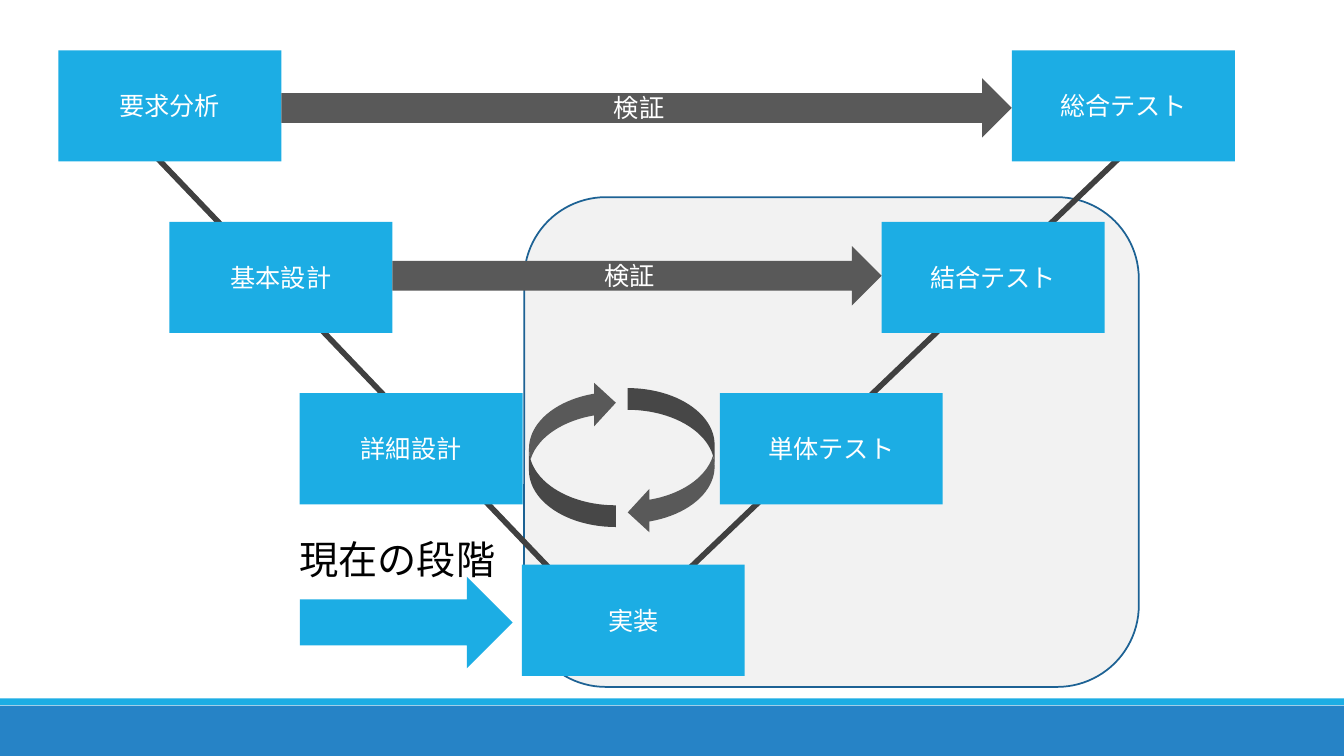
from lxml import etree
from pptx import Presentation
from pptx.dml.color import RGBColor
from pptx.enum.shapes import MSO_CONNECTOR, MSO_SHAPE
from pptx.enum.text import MSO_ANCHOR, PP_ALIGN
from pptx.oxml.ns import qn
from pptx.util import Cm, Pt

RECT, ROUNDED = MSO_SHAPE.RECTANGLE, MSO_SHAPE.ROUNDED_RECTANGLE
RIGHT_ARROW, CURVED_ARROW = MSO_SHAPE.RIGHT_ARROW, MSO_SHAPE.CURVED_LEFT_ARROW
STRAIGHT = MSO_CONNECTOR.STRAIGHT
LEFT, CENTER = PP_ALIGN.LEFT, PP_ALIGN.CENTER
TOP, MIDDLE = MSO_ANCHOR.TOP, MSO_ANCHOR.MIDDLE

BLUE, NAVY, OUTLINE = "1CADE4", "2683C6", "1D6294"
PANEL, ARROW, LEG = "F2F2F2", "595959", "404040"
WHITE, BLACK = "FFFFFF", "000000"

SLIDE_W, SLIDE_H = 33.87, 19.05
PHASE_W, PHASE_H = 5.62, 2.8
FIRST_ROW, ROW_STEP = 1.27, 4.32

phases = [
    ("要求分析", 1.47, 0),
    ("基本設計", 4.27, 1),
    ("詳細設計", 7.55, 2),
    ("実装", 13.15, 3),
    ("単体テスト", 18.14, 2),
    ("結合テスト", 22.22, 1),
    ("総合テスト", 25.5, 0),
]
verifications = [
    ("検証", "要求分析", "総合テスト", 1.97),
    ("検証", "基本設計", "結合テスト", 6.2),
]
v_legs = [(17.02, 14.66, 29.18, 3.05), (3.48, 3.48, 15.09, 15.62)]
cycle_arrows = [(15.82, 9.78, 0), (13.33, 9.6, 180)]
stage_label = "現在の段階"

prs = Presentation()
prs.slide_width, prs.slide_height = Cm(SLIDE_W), Cm(SLIDE_H)
slide = prs.slides.add_slide(prs.slide_layouts[6])


def rgb(value):
    return RGBColor.from_string(value)


def write(target, text, size=18, color=WHITE, align=CENTER, anchor=MIDDLE):
    frame = target.text_frame
    frame.word_wrap = True
    frame.vertical_anchor = anchor
    paragraph = frame.paragraphs[0]
    paragraph.alignment = align
    run = paragraph.add_run()
    run.text = text
    run.font.name = "Calibri"
    run.font.size = Pt(size)
    run.font.color.rgb = rgb(color)


def draw(preset, left, top, width, height, fill, outline=None, rotation=0):
    shape = slide.shapes.add_shape(preset, Cm(left), Cm(top), Cm(width), Cm(height))
    shape.shadow.inherit = False
    shape.rotation = rotation
    shape.fill.solid()
    shape.fill.fore_color.rgb = rgb(fill)
    if outline:
        shape.line.color.rgb = rgb(outline)
        shape.line.width = Pt(1.25)
    else:
        shape.line.fill.background()
    return shape


draw(RECT, 0, 17.78, SLIDE_W, SLIDE_H - 17.78, NAVY)
draw(RECT, 0, 17.6, SLIDE_W, 0.17, BLUE)
draw(ROUNDED, 13.21, 4.97, 15.49, 12.34, PANEL, outline=OUTLINE)

for ends in v_legs:
    leg = slide.shapes.add_connector(STRAIGHT, *map(Cm, ends))
    leg.line.color.rgb = rgb(LEG)
    leg.line.width = Pt(4)
    etree.SubElement(leg._element.spPr, qn("a:effectLst"))

for name, left, row in phases:
    phase = draw(RECT, left, FIRST_ROW + row * ROW_STEP, PHASE_W, PHASE_H, BLUE)
    write(phase, name)

phase_left = {name: left for name, left, row in phases}
for label, design, test, top in verifications:
    start = phase_left[design] + PHASE_W
    verification = draw(RIGHT_ARROW, start, top, phase_left[test] - start, 1.5, ARROW)
    write(verification, label)

for left, top, rotation in cycle_arrows:
    draw(CURVED_ARROW, left, top, 2.19, 3.68, ARROW, rotation=rotation)

draw(RIGHT_ARROW, 7.56, 14.53, 5.36, 2.31, BLUE)
stage = slide.shapes.add_textbox(Cm(7.3), Cm(13.36), Cm(5.6), Cm(1.45))
write(stage, stage_label, size=28, color=BLACK, align=LEFT, anchor=TOP)

prs.save("out.pptx")
